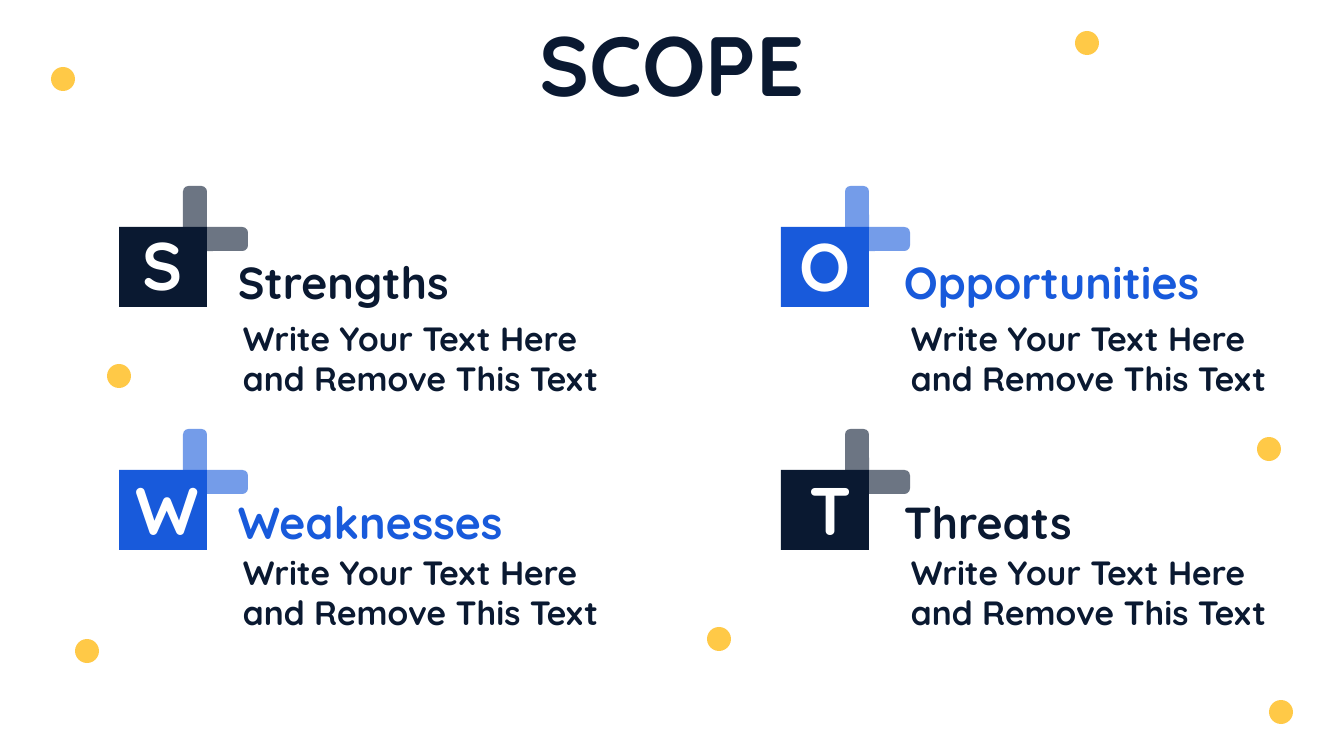
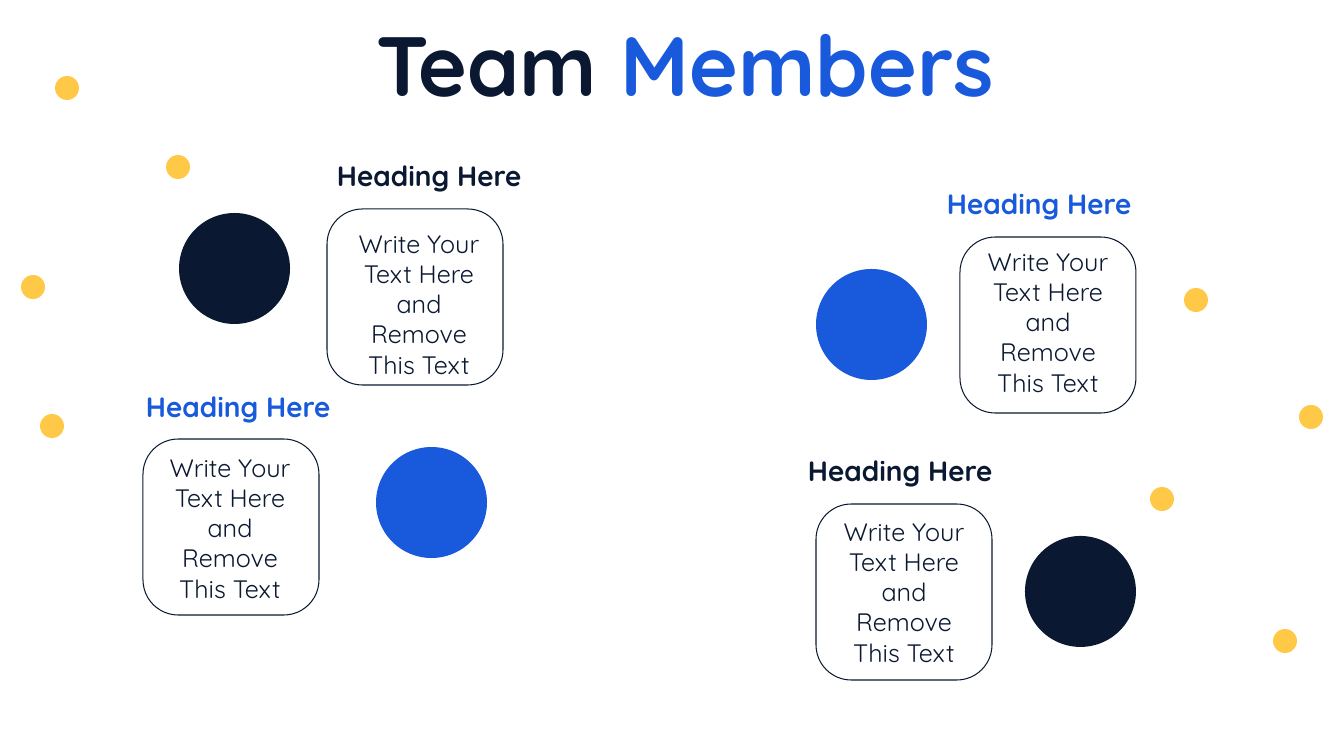
from pptx import Presentation
from pptx.dml.color import RGBColor
from pptx.enum.shapes import MSO_SHAPE
from pptx.enum.text import PP_ALIGN
from pptx.util import Pt

# Shared scale, colours and sizes
SLIDE_WIDTH, SLIDE_HEIGHT = 1344, 756
EMU_PER_PX = 12192000 / SLIDE_WIDTH
NAVY = RGBColor(0x0A, 0x19, 0x31)
BLUE = RGBColor(0x18, 0x5A, 0xDB)
GREY = RGBColor(0x6C, 0x75, 0x83)
LIGHT_BLUE = RGBColor(0x74, 0x9C, 0xE9)
YELLOW = RGBColor(0xFF, 0xC9, 0x47)
WHITE = RGBColor(0xFF, 0xFF, 0xFF)
FONT = "Quicksand"
BODY = "Write Your Text Here and Remove This Text"
DOT, CIRCLE, BUBBLE = 24, 111, 176
TILE_WIDTH, TILE_HEIGHT = 88, 80
TAB_WIDTH, TAB_LENGTH = 24, 42

SCOPE_DOTS = [(63, 79), (1087, 43), (1269, 449), (719, 639),
              (1281, 712), (119, 376), (87, 651)]
TEAM_DOTS = [(178, 167), (33, 287), (67, 88), (52, 426),
             (1311, 417), (1162, 499), (1196, 300), (1285, 641)]

# Letter, label, colour, tab colour, tile corner, letter centre, label, body
SCOPE_ITEMS = [
    ("S", "Strengths", NAVY, GREY, (119, 227), (163, 218), (228, 250), (233, 313)),
    ("W", "Weaknesses", BLUE, LIGHT_BLUE, (119, 470), (167, 463), (228, 490), (233, 547)),
    ("O", "Opportunities", BLUE, LIGHT_BLUE, (781, 227), (825, 219), (894, 250), (901, 313)),
    ("T", "Threats", NAVY, GREY, (781, 470), (831, 463), (894, 490), (901, 547)),
]

# Colour, then corners of circle, heading, bubble and bubble text
TEAM_MEMBERS = [
    (NAVY, (179, 213), (327, 154), (327, 209), (339, 223)),
    (BLUE, (816, 269), (937, 182), (960, 237), (968, 241)),
    (BLUE, (376, 447), (136, 385), (143, 439), (150, 447)),
    (NAVY, (1025, 536), (798, 449), (816, 504), (824, 511)),
]


def px(value):
    return round(value * EMU_PER_PX)


def add_text(slide, runs, left, top, width, height, size=24, color=NAVY,
             bold=True, align=PP_ALIGN.LEFT):
    """Add one paragraph: a string, or a list of (text, colour) runs."""
    box = slide.shapes.add_textbox(px(left), px(top), px(width), px(height))
    box.text_frame.word_wrap = True
    paragraph = box.text_frame.paragraphs[0]
    paragraph.alignment = align
    for text, run_color in [(runs, color)] if isinstance(runs, str) else runs:
        run = paragraph.add_run()
        run.text = text
        run.font.name = FONT
        run.font.size = Pt(size)
        run.font.bold = bold
        run.font.color.rgb = run_color


def add_shape(slide, kind, left, top, width, height, fill=None, line=None):
    shape = slide.shapes.add_shape(kind, px(left), px(top), px(width), px(height))
    shape.shadow.inherit = False
    if fill is None:
        shape.fill.background()
    else:
        shape.fill.solid()
        shape.fill.fore_color.rgb = fill
    if line is None:
        shape.line.fill.background()
    else:
        shape.line.color.rgb = line
        shape.line.width = Pt(0.75)
    return shape


def add_title(slide, runs, center):
    add_text(slide, runs, center - 390, 8, 780, 112, size=60,
             align=PP_ALIGN.CENTER)


def add_dots(slide, centers):
    for x, y in centers:
        add_shape(slide, MSO_SHAPE.OVAL, x - DOT / 2, y - DOT / 2, DOT, DOT,
                  fill=YELLOW)


def add_tab(slide, left, top, color, rotation=0):
    tab = add_shape(slide, MSO_SHAPE.ROUND_2_SAME_RECTANGLE, left, top,
                    TAB_WIDTH, TAB_LENGTH, fill=color)
    tab.adjustments[0] = 0.23
    tab.rotation = rotation


def add_scope_item(slide, letter, label, color, tab_color, tile,
                   letter_at, label_at, body_at):
    left, top = tile
    right = left + TILE_WIDTH
    # Tabs behind the tile: one upright, one turned to point right
    turn_shift = (TAB_LENGTH - TAB_WIDTH) / 2
    add_tab(slide, right - TAB_WIDTH, top - TAB_LENGTH + 1, tab_color)
    add_tab(slide, right + turn_shift - 1, top - turn_shift, tab_color, rotation=90)
    add_shape(slide, MSO_SHAPE.RECTANGLE, left, top, TILE_WIDTH, TILE_HEIGHT,
              fill=color)
    center, letter_top = letter_at
    add_text(slide, letter, center - 50, letter_top, 100, 92, size=48,
             color=WHITE, align=PP_ALIGN.CENTER)
    add_text(slide, label, *label_at, 400, 64, size=32, color=color)
    add_text(slide, BODY, *body_at, 392, 92)


def add_member(slide, color, circle, heading, bubble, bubble_text):
    add_shape(slide, MSO_SHAPE.OVAL, *circle, CIRCLE, CIRCLE, fill=color)
    add_text(slide, "Heading Here", *heading, 220, 44, size=20, color=color)
    outline = add_shape(slide, MSO_SHAPE.ROUNDED_RECTANGLE, *bubble,
                        BUBBLE, BUBBLE, line=NAVY)
    outline.adjustments[0] = 0.2
    add_text(slide, BODY, *bubble_text, 160, 163, size=18, bold=False,
             align=PP_ALIGN.CENTER)


def build_scope(slide):
    add_dots(slide, SCOPE_DOTS)
    for item in SCOPE_ITEMS:
        add_scope_item(slide, *item)
    add_title(slide, "SCOPE", 672)


def build_team(slide):
    add_title(slide, [("Team", NAVY), (" Members", BLUE)], 685)
    add_dots(slide, TEAM_DOTS)
    for member in TEAM_MEMBERS:
        add_member(slide, *member)


def main():
    presentation = Presentation()
    presentation.slide_width = px(SLIDE_WIDTH)
    presentation.slide_height = px(SLIDE_HEIGHT)
    blank = presentation.slide_layouts[6]
    for build in (build_scope, build_team):
        build(presentation.slides.add_slide(blank))
    presentation.save("out.pptx")


if __name__ == "__main__":
    main()
